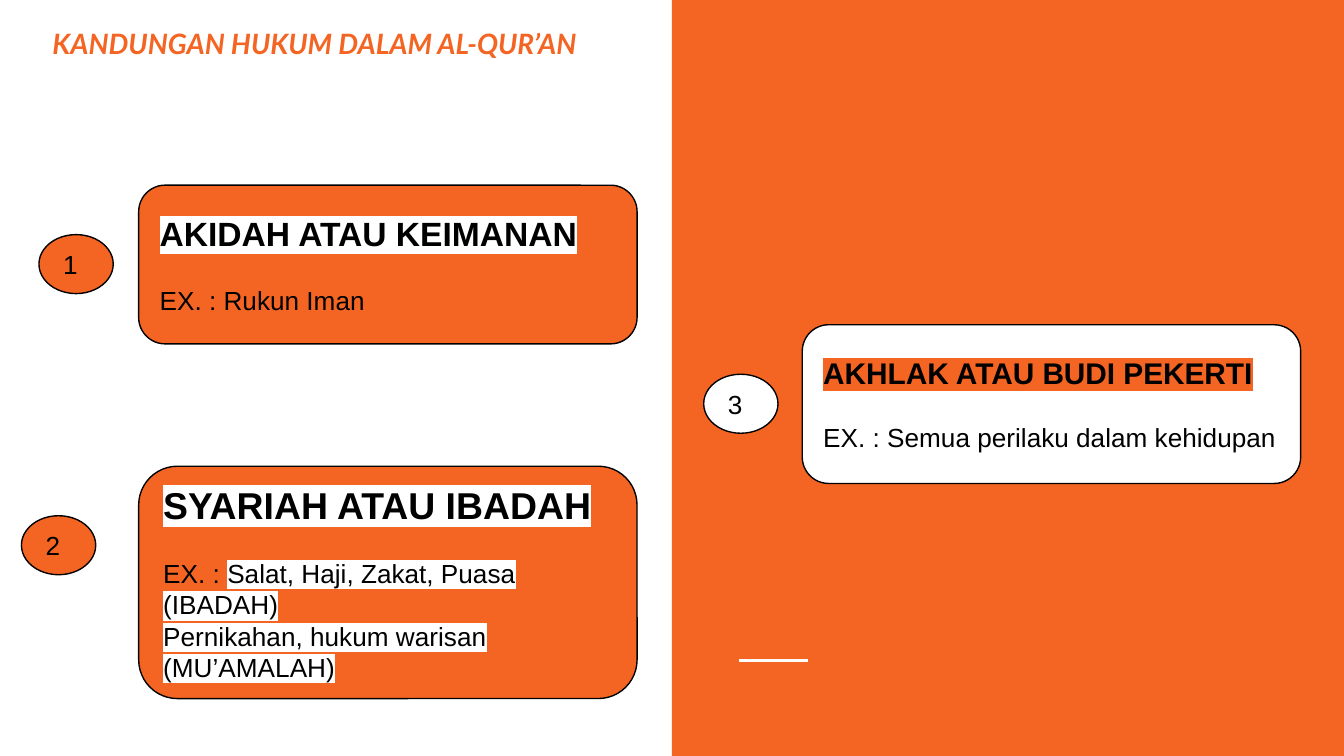
from lxml import etree
from pptx import Presentation
from pptx.dml.color import RGBColor
from pptx.enum import shapes, text
from pptx.oxml.ns import qn
from pptx.util import Pt

ORANGE, WHITE, BLACK = "F46524", "FFFFFF", "000000"


def rgb(hex_code):
    return RGBColor.from_string(hex_code)


class LawSlide:
    """Holds the style and the current slide."""

    body_font, title_font = "Arial", "Lato"
    body_size, inset = 14, 7.2
    card_width, badge_size, badge_drop = 267, (39.8, 31.6), 26.5

    def __init__(self, prs):
        self.slide = prs.slides.add_slide(prs.slide_layouts[5])

    def format_run(self, run, size, font, color, bold=False, italic=False, marker=None):
        run.font.size, run.font.name = Pt(size), font
        run.font.bold, run.font.italic = bold, italic
        run.font.color.rgb = rgb(color)
        if marker:
            highlight = etree.Element(qn("a:highlight"))
            etree.SubElement(highlight, qn("a:srgbClr")).set("val", marker)
            run.font._element.find(qn("a:solidFill")).addnext(highlight)

    def frame(self, shape):
        frame = shape.text_frame
        frame.word_wrap = True
        frame.auto_size = text.MSO_AUTO_SIZE.NONE
        frame.vertical_anchor = text.MSO_ANCHOR.MIDDLE
        frame.margin_left = frame.margin_right = Pt(self.inset)
        frame.margin_top = frame.margin_bottom = Pt(self.inset)
        return frame

    def box(self, kind, left, top, width, height, fill, outline=BLACK):
        shape = self.slide.shapes.add_shape(kind, Pt(left), Pt(top), Pt(width), Pt(height))
        shape.shadow.inherit = False
        shape.fill.solid()
        shape.fill.fore_color.rgb = rgb(fill)
        if outline:
            shape.line.color.rgb = rgb(outline)
            shape.line.width = Pt(0.75)
        else:
            shape.line.fill.background()
        return shape

    def rule(self, left, right, y):
        rule = self.slide.shapes.add_connector(
            shapes.MSO_CONNECTOR.STRAIGHT, Pt(left), Pt(y), Pt(right), Pt(y))
        rule.line.color.rgb = rgb(WHITE)
        rule.line.width = Pt(1.5)
        etree.SubElement(rule._element.spPr, qn("a:effectLst"))

    def title(self, wording, left, top, width, height):
        heading = self.slide.shapes.title
        heading.left, heading.top = Pt(left), Pt(top)
        heading.width, heading.height = Pt(width), Pt(height)
        # Bring the heading in front of the panel
        self.slide.shapes._spTree.append(heading._element)
        frame = self.frame(heading)
        frame.text = wording
        frame.paragraphs[0].alignment = text.PP_ALIGN.LEFT
        self.format_run(frame.paragraphs[0].runs[0], 15, self.title_font, ORANGE,
                        bold=True, italic=True, marker=WHITE)

    def badge(self, number, left, top, fill):
        badge = self.box(shapes.MSO_SHAPE.OVAL, left, top, *self.badge_size, fill)
        frame = self.frame(badge)
        frame.text = number
        frame.paragraphs[0].alignment = text.PP_ALIGN.LEFT
        self.format_run(frame.paragraphs[0].runs[0], self.body_size, self.body_font, BLACK)

    def card(self, left, top, height, fill, marker, heading, heading_size, examples):
        """Each example line is a list of (wording, is_marked) pairs."""
        card = self.box(shapes.MSO_SHAPE.ROUNDED_RECTANGLE, left, top,
                        self.card_width, height, fill)
        frame = self.frame(card)
        lines = [[(heading, True)]] + examples
        for index, line in enumerate(lines):
            paragraph = frame.add_paragraph() if index else frame.paragraphs[0]
            paragraph.alignment = text.PP_ALIGN.LEFT
            if index == 1:
                paragraph.space_before = Pt(16.5)
            for wording, marked in line:
                run = paragraph.add_run()
                run.text = wording
                self.format_run(run, self.body_size if index else heading_size,
                                self.body_font, BLACK, bold=index == 0,
                                marker=marker if marked else None)


def main():
    prs = Presentation()
    prs.slide_width, prs.slide_height = Pt(720), Pt(405)
    law = LawSlide(prs)

    # Right-hand panel, accent rule and title
    law.box(shapes.MSO_SHAPE.RECTANGLE, 360, 0, 360, 405, ORANGE, outline=None)
    law.rule(396, 432.7, 354)
    law.title("KANDUNGAN HUKUM DALAM AL-QUR’AN", 20.9, 13, 492, 20.2)

    # Numbered kinds of law: badge left, card left, top, height, colours, wording
    kinds = [
        (20.9, 74.3, 99.2, 85, ORANGE, WHITE, "AKIDAH ATAU KEIMANAN", 18,
         [[("EX. : Rukun Iman", False)]]),
        (11.5, 74.3, 249.8, 124.5, ORANGE, WHITE, "SYARIAH ATAU IBADAH", 20,
         [[("EX. : ", False), ("Salat, Haji, Zakat, Puasa (IBADAH)", True)],
          [("Pernikahan, hukum warisan (MU’AMALAH)", True)]]),
        (377, 429.8, 174, 85, WHITE, ORANGE, "AKHLAK ATAU BUDI PEKERTI", 16,
         [[("EX. : Semua perilaku dalam kehidupan", False)]]),
    ]
    for number, (badge_left, left, top, height, fill, *content) in enumerate(kinds, 1):
        law.card(left, top, height, fill, *content)
        law.badge(str(number), badge_left, top + law.badge_drop, fill)

    prs.save("out.pptx")


if __name__ == "__main__":
    main()
